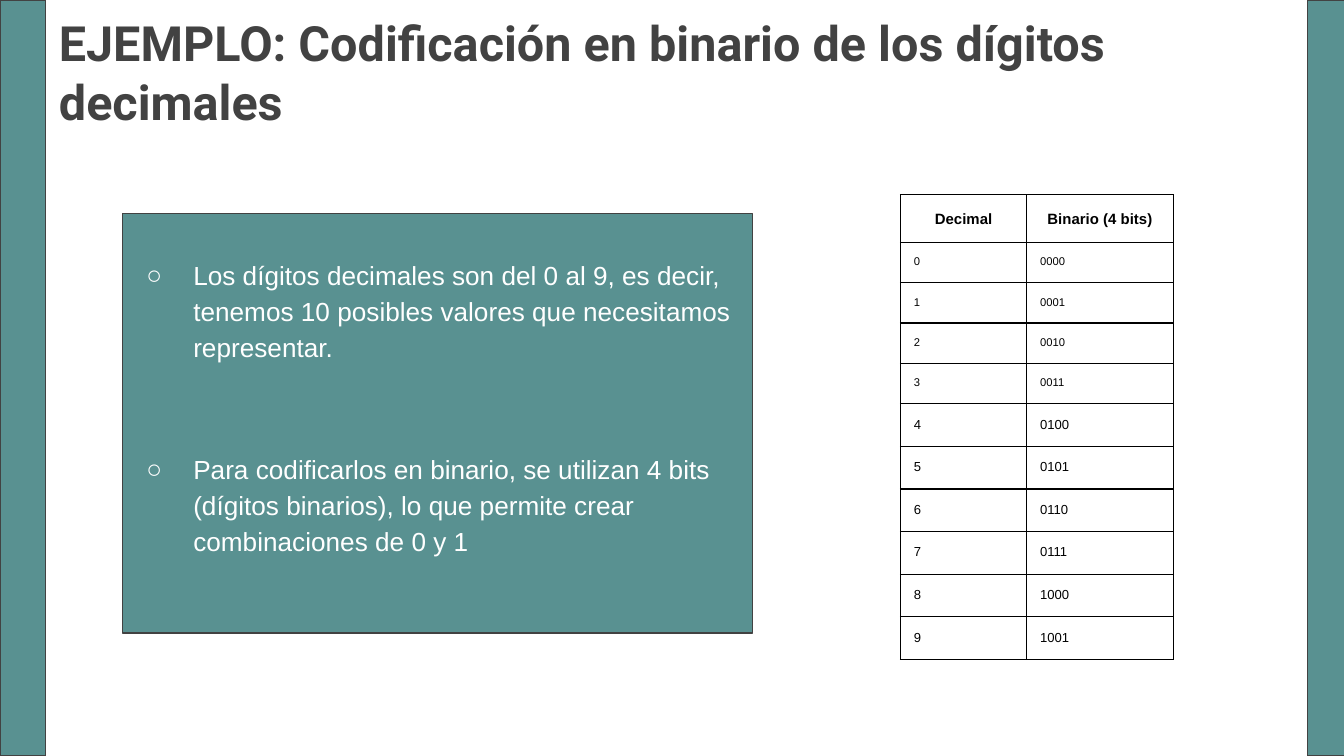
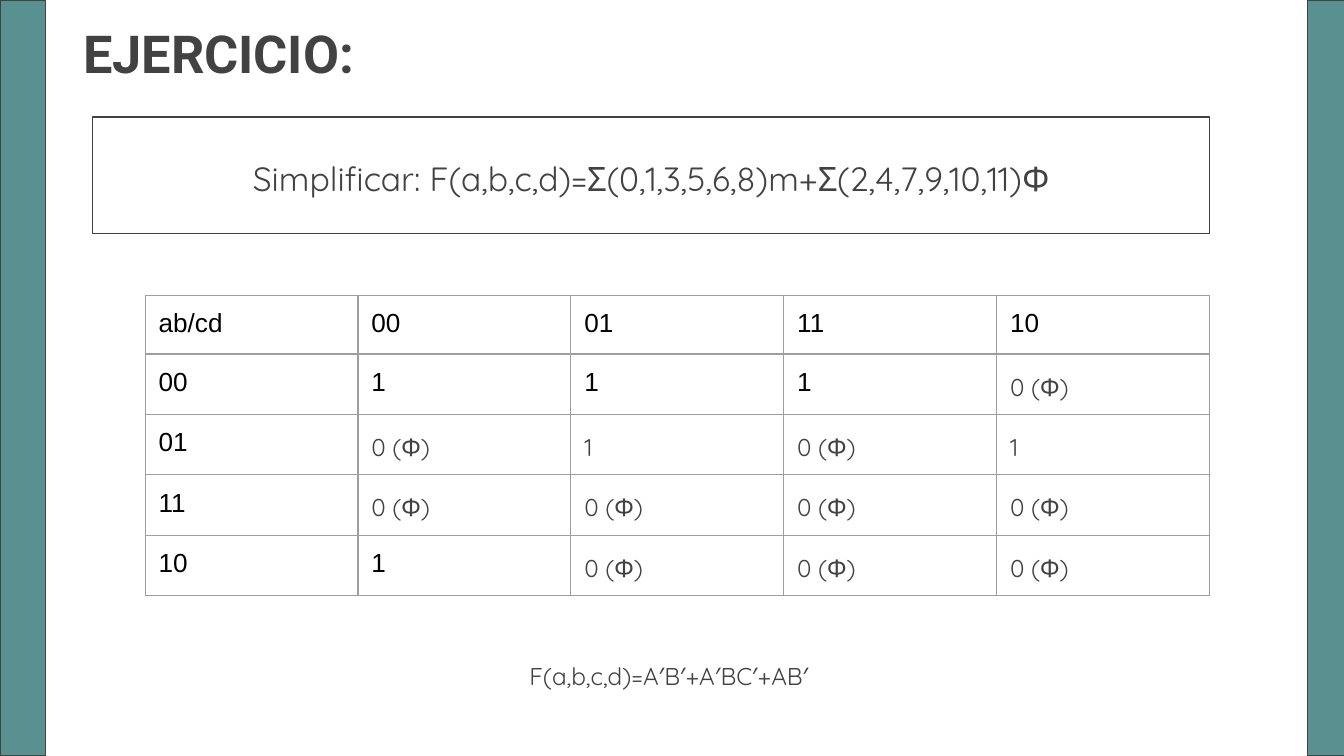
from dataclasses import dataclass

from lxml.etree import SubElement
from pptx import Presentation
from pptx.dml.color import RGBColor as Color
from pptx.enum.shapes import MSO_SHAPE as Preset
from pptx.enum.text import MSO_ANCHOR as Anchor, PP_ALIGN as Align
from pptx.oxml.ns import qn
from pptx.util import Inches, Pt


@dataclass(frozen=True)
class Theme:
    teal: str = "599191"
    ink: str = "424242"
    white: str = "FFFFFF"
    black: str = "000000"
    grid: str = "9E9E9E"
    title_font: str = "Roboto"
    body_font: str = "Arial"
    formula_font: str = "Quicksand"
    formula_size: int = 18
    body_size: int = 14
    answer_size: int = 13
    header_size: int = 8
    small_size: int = 6
    digit_size: int = 7
    line_width: float = 0.75
    spacing: float = 1.15
    inset: float = 0.1


THEME = Theme()
PAGE_WIDTH = 10
PAGE_HEIGHT = PAGE_WIDTH * 9 / 16
BAND_WIDTH = 0.34
TABLE_FRAME = 3.28


# Shared helpers: every box is (left, top, width, height) in inches
def set_insets(frame):
    frame.margin_left = frame.margin_right = Inches(THEME.inset)
    frame.margin_top = frame.margin_bottom = Inches(THEME.inset)


def style_text(para, size, font, color, bold=False):
    for span in para.runs:
        span.font.size = Pt(size)
        span.font.name = font
        span.font.bold = bold
        span.font.color.rgb = Color.from_string(color)


def add_rectangle(page, box, fill=None):
    shape = page.shapes.add_shape(Preset.RECTANGLE, *map(Inches, box))
    shape.shadow.inherit = False
    if fill:
        shape.fill.solid()
        shape.fill.fore_color.rgb = Color.from_string(fill)
    else:
        shape.fill.background()
    shape.line.color.rgb = Color.from_string(THEME.ink)
    shape.line.width = Pt(THEME.line_width)
    return shape


def add_text_box(page, box):
    frame = page.shapes.add_textbox(*map(Inches, box)).text_frame
    frame.word_wrap = True
    set_insets(frame)
    return frame


def add_line_of_text(page, box, text, size, font, bold=False):
    frame = add_text_box(page, box)
    frame.text = text
    style_text(frame.paragraphs[0], size, font, THEME.ink, bold)


def add_title(page, box, text, size):
    add_line_of_text(page, box, text, size, THEME.title_font, bold=True)


def add_side_bands(page):
    for left in (0, 9.73):
        add_rectangle(page, (left, 0, BAND_WIDTH, PAGE_HEIGHT), THEME.teal)


def set_bullet(para, color, mark, margin, hang):
    props = para._p.get_or_add_pPr()
    props.set("marL", str(Inches(margin)))
    props.set("indent", str(Inches(-hang)))
    SubElement(SubElement(props, qn("a:buClr")), qn("a:srgbClr"), val=color)
    SubElement(props, qn("a:buSzPts"), val=str(THEME.body_size * 100))
    SubElement(props, qn("a:buFont"), typeface=THEME.body_font)
    SubElement(props, qn("a:buChar"), char=mark)


def set_borders(cell, color):
    props = cell._tc.get_or_add_tcPr()
    for side in ("a:lnL", "a:lnR", "a:lnT", "a:lnB"):
        line = SubElement(props, qn(side), w=str(Pt(THEME.line_width)))
        SubElement(SubElement(line, qn("a:solidFill")), qn("a:srgbClr"), val=color)


def add_grid(page, left, top, widths, heights, values, border, fill, style_cell):
    """Add a table; style_cell(para, row, column) formats each entry."""
    box = (left, top, TABLE_FRAME, TABLE_FRAME)
    holder = page.shapes.add_table(len(heights), len(widths), *map(Inches, box))
    table = holder.table
    table.first_row = table.horz_banding = False
    for column, width in zip(table.columns, widths):
        column.width = Inches(width)
    for r, height in enumerate(heights):
        table.rows[r].height = Inches(height)
        for c, value in enumerate(values[r]):
            cell = table.cell(r, c)
            set_insets(cell)
            set_borders(cell, border)
            if fill:
                cell.fill.solid()
                cell.fill.fore_color.rgb = Color.from_string(fill)
            else:
                cell.fill.background()
            cell.text = value
            style_cell(cell.text_frame.paragraphs[0], r, c)
    # Column and row changes resize the frame, so set it last
    holder.width = holder.height = Inches(TABLE_FRAME)


# Slide 1: binary coding of the decimal digits
def add_explanation(page, box):
    left, top, width, height = box
    add_rectangle(page, box, THEME.teal)
    offset = left - BAND_WIDTH
    frame = add_text_box(page, (BAND_WIDTH, top, width + offset, height))
    frame.vertical_anchor = Anchor.MIDDLE
    frame.margin_bottom = Inches(0.36)
    points = (
        "Los dígitos decimales son del 0 al 9, es decir, tenemos 10 posibles "
        "valores que necesitamos representar.",
        "Para codificarlos en binario, se utilizan 4 bits (dígitos binarios), "
        "lo que permite crear combinaciones de 0 y 1",
    )
    for index, point in enumerate(points):
        para = frame.paragraphs[0] if index == 0 else frame.add_paragraph()
        para.text = point
        para.line_spacing = THEME.spacing
        if index:
            para.space_before = Pt(46)
        set_bullet(para, THEME.white, "○", margin=1, hang=0.35)
        style_text(para, THEME.body_size, THEME.body_font, THEME.white)


def style_code_cell(para, row, column):
    if row == 0:
        para.alignment = Align.CENTER
        para.line_spacing = THEME.spacing
        size = THEME.header_size
    else:
        size = THEME.small_size if row <= 4 else THEME.digit_size
    style_text(para, size, THEME.body_font, THEME.black, bold=row == 0)


def add_code_table(page, left, top):
    values = [("Decimal", "Binario (4 bits)")]
    values += [(str(digit), f"{digit:04b}") for digit in range(10)]
    heights = [0.31, 0.25] + [0.21] * 8 + [0.23]
    add_grid(page, left, top, (0.94, 1.09), heights, values,
             THEME.black, THEME.white, style_code_cell)


def build_example(page):
    add_side_bands(page)
    add_title(page, (BAND_WIDTH, 0, PAGE_WIDTH - BAND_WIDTH, 1.09),
              "EJEMPLO: Codificación en binario de los dígitos decimales", 26)
    add_explanation(page, (0.91, 1.59, 4.69, 3.12))
    add_code_table(page, 6.7, 1.45)


# Slide 2: exercise with a Karnaugh map
def add_statement(page, box):
    frame = add_rectangle(page, box).text_frame
    frame.word_wrap = True
    frame.vertical_anchor = Anchor.MIDDLE
    set_insets(frame)
    frame.text = "Simplificar: F(a,b,c,d)=Σ(0,1,3,5,6,8)m+Σ(2,4,7,9,10,11)Φ"
    para = frame.paragraphs[0]
    para.alignment = Align.CENTER
    para.line_spacing = THEME.spacing
    para.space_after = Pt(12)
    style_text(para, THEME.formula_size, THEME.formula_font, THEME.ink)


def style_map_cell(para, row, column):
    # Labels and the ones outside the second row use the body font
    plain_one = para.text == "1" and row != 2
    if row == 0 or column == 0 or plain_one:
        style_text(para, THEME.body_size, THEME.body_font, THEME.black)
    else:
        para.line_spacing = THEME.spacing
        para.space_after = Pt(12)
        style_text(para, THEME.answer_size, THEME.formula_font, THEME.ink)


def add_karnaugh_map(page, left, top, width):
    free = "0 (Φ)"
    values = (
        ("ab/cd", "00", "01", "11", "10"),
        ("00", "1", "1", "1", free),
        ("01", free, "1", free, "1"),
        ("11", free, free, free, free),
        ("10", "1", free, free, free),
    )
    add_grid(page, left, top, [width / 5] * 5, [0.42] * 5, values,
             THEME.grid, None, style_map_cell)


def build_exercise(page):
    add_side_bands(page)
    add_title(page, (0.52, 0.06, 7.69, 1.09), "EJERCICIO:", 28)
    add_statement(page, (0.69, 0.87, 8.31, 0.87))
    add_karnaugh_map(page, 1.08, 2.2, 7.92)
    add_line_of_text(page, (3.84, 4.82, 2.36, 0.27), "F(a,b,c,d)=A′B′+A′BC′+AB′",
                     THEME.answer_size, THEME.formula_font)


def main():
    deck = Presentation()
    deck.slide_width, deck.slide_height = Inches(PAGE_WIDTH), Inches(PAGE_HEIGHT)
    for build in (build_example, build_exercise):
        build(deck.slides.add_slide(deck.slide_layouts[6]))
    deck.save("out.pptx")


if __name__ == "__main__":
    main()
